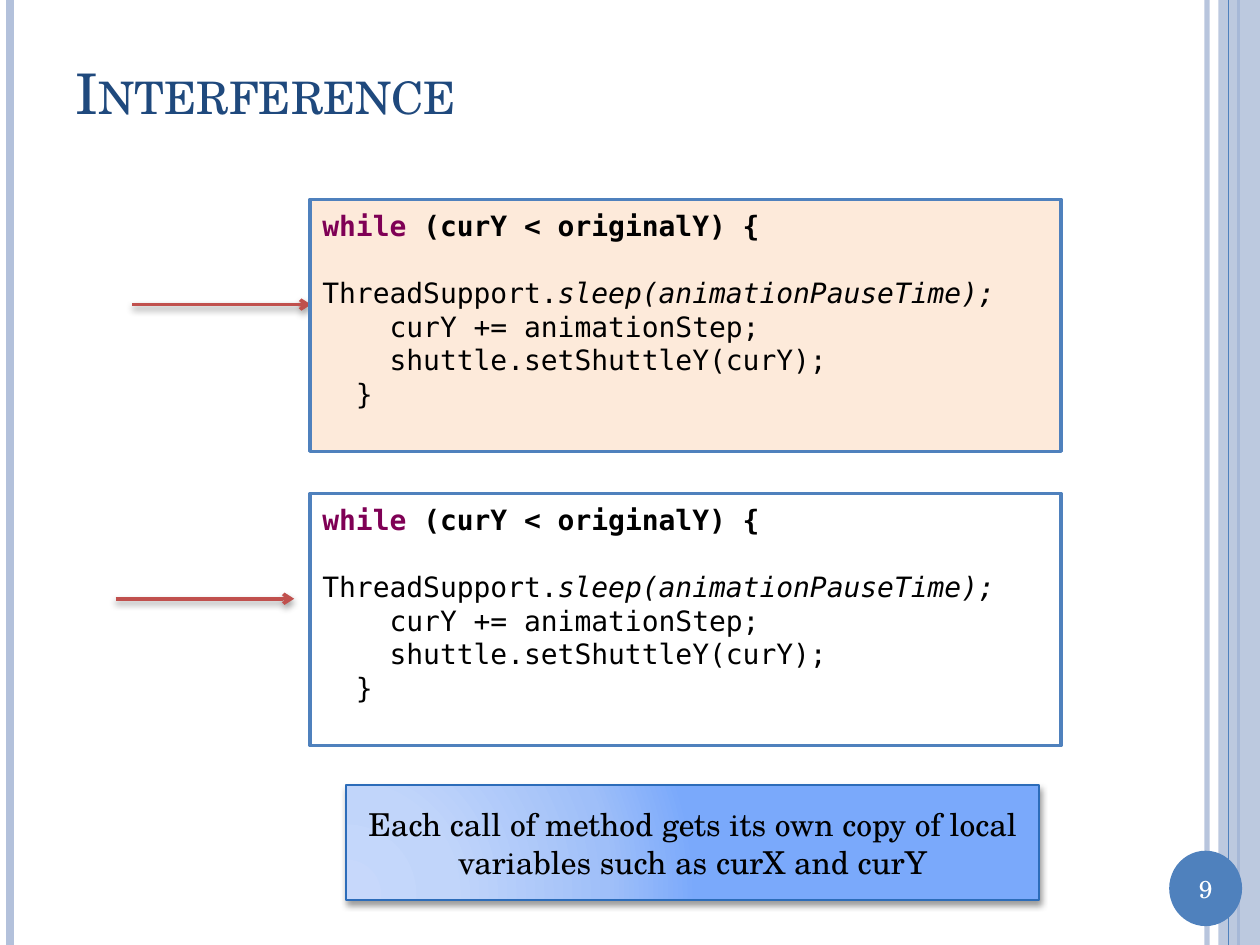
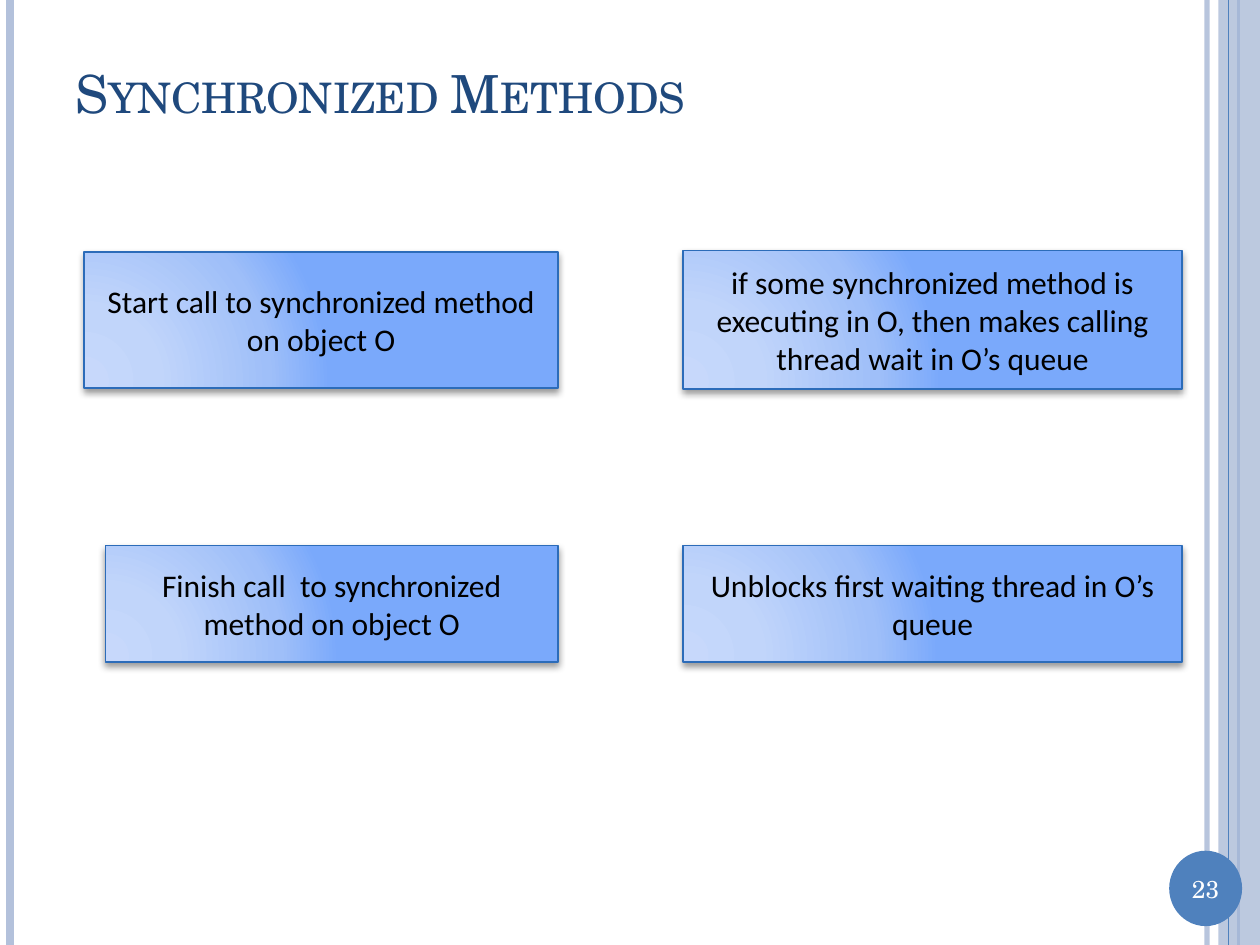
"""Build two slides on thread interference and synchronized methods."""
from dataclasses import dataclass

from lxml import etree
from pptx import Presentation
from pptx.dml.color import RGBColor
from pptx.enum.shapes import MSO_CONNECTOR, MSO_SHAPE
from pptx.enum.text import MSO_ANCHOR, PP_ALIGN
from pptx.oxml.ns import qn
from pptx.util import Cm, Pt

STRAIGHT = MSO_CONNECTOR.STRAIGHT
RECTANGLE = MSO_SHAPE.RECTANGLE
OVAL = MSO_SHAPE.OVAL
TOP = MSO_ANCHOR.TOP
MIDDLE = MSO_ANCHOR.MIDDLE
LEFT = PP_ALIGN.LEFT
CENTER = PP_ALIGN.CENTER

SLIDE_WIDTH = 25.4
SLIDE_HEIGHT = 19.05


@dataclass(frozen=True)
class Theme:
    """Colours, fonts and type sizes of the deck."""
    band: str = "B3C1DB"
    accent: str = "4F81BD"
    title: str = "1F497D"
    arrow: str = "C0504D"
    keyword: str = "7F0055"
    peach: str = "FDEADA"
    white: str = "FFFFFF"
    black: str = "000000"
    callout_line: str = "2C6CB9"
    callout_stops: tuple = ((0, "C7D8FB"), (30, "C1D5FA"), (75, "9FBFF9"), (100, "7AA9FB"))
    serif: str = "TeX Gyre Schola"
    sans: str = "Calibri"
    mono: str = "DejaVu Sans Mono"
    title_size: int = 32
    long_title_size: int = 30
    callout_size: int = 18
    code_size: int = 16
    number_size: int = 14


THEME = Theme()

CODE = (
    (("while ", "keyword"), ("(curY < originalY) {", "bold")),
    (("    ThreadSupport.", "plain"), ("sleep(animationPauseTime);", "italic")),
    (("    curY += animationStep;", "plain"),),
    (("    shuttle.setShuttleY(curY);", "plain"),),
    (("  }", "plain"),),
)

CALL_STEPS = (
    (1.7, 5.08, 9.55, 2.74, "Start call to synchronized method on object O"),
    (2.13, 11, 9.12, 2.34, "Finish call  to synchronized method on object O"),
    (13.77, 5.05, 10.06, 2.79,
     "if some synchronized method is executing in O, then makes calling thread wait in O’s queue"),
    (13.77, 11, 10.06, 2.34, "Unblocks first waiting thread in O’s queue"),
)


def add_element(parent, tag, **attributes):
    """Append a DrawingML element to a parent."""
    return etree.SubElement(parent, qn(tag), {key: str(value) for key, value in attributes.items()})


def set_opacity(fill_parent, percent):
    """Make the solid colour below an element partly transparent."""
    color = next(fill_parent.iter(qn("a:srgbClr")))
    add_element(color, "a:alpha", val=percent * 1000)


class SlideBuilder:
    """Holds the theme and the current slide, and draws each kind of element."""

    def __init__(self, presentation, theme):
        """Keep the presentation and its theme."""
        self.presentation = presentation
        self.theme = theme
        self.slide = None

    def start(self, title, title_size, number):
        """Add a blank slide with its frame, number and title."""
        self.slide = self.presentation.slides.add_slide(self.presentation.slide_layouts[6])
        self.frame(number)
        box = self.slide.shapes.add_textbox(Cm(1.27), Cm(0.76), Cm(22.02), Cm(2.21))
        self.text(box, title, title_size, self.theme.serif, self.theme.title, LEFT)
        properties = box.text_frame.paragraphs[0].runs[0].font._element
        properties.set("cap", "small")

    def frame(self, number):
        """Draw the vertical bands and the numbered disc."""
        theme = self.theme
        edge = self.band_line(24.33, theme.band, 3)
        set_opacity(edge.line._get_or_add_ln(), 93)
        self.band_line(0.21, theme.band, 4.5)
        self.band_line(24.97, theme.accent, 1.5)
        band = self.shape(RECTANGLE, 24.56, 0, 0.84, SLIDE_HEIGHT, theme.band)
        set_opacity(band._element.spPr, 87)
        self.band_line(24.77, theme.accent, 0.75)
        disc = self.shape(OVAL, 23.57, 17.15, 1.47, 1.52, theme.accent)
        self.text(disc, str(number), theme.number_size, theme.serif, theme.white, CENTER, 0)

    def band_line(self, x, color, width):
        """Draw a line over the full height of the slide."""
        return self.line(x, 0, x, SLIDE_HEIGHT, color, width)

    def line(self, x1, y1, x2, y2, color, width):
        """Draw a straight line without a shadow."""
        connector = self.slide.shapes.add_connector(STRAIGHT, Cm(x1), Cm(y1), Cm(x2), Cm(y2))
        connector.line.color.rgb = RGBColor.from_string(color)
        connector.line.width = Pt(width)
        add_element(connector._element.spPr, "a:effectLst")
        return connector

    def arrow(self, x, y, length):
        """Draw an arrow pointing right."""
        connector = self.line(x, y, x + length, y, self.theme.arrow, 2)
        add_element(connector.line._get_or_add_ln(), "a:tailEnd", type="arrow")
        self.shadow(connector)

    def shape(self, kind, left, top, width, height, fill=None, line=None, line_width=1):
        """Draw a preset shape with a flat fill and an optional outline."""
        shape = self.slide.shapes.add_shape(kind, Cm(left), Cm(top), Cm(width), Cm(height))
        shape.shadow.inherit = False
        if fill:
            shape.fill.solid()
            shape.fill.fore_color.rgb = RGBColor.from_string(fill)
        else:
            shape.fill.background()
        if line:
            shape.line.color.rgb = RGBColor.from_string(line)
            shape.line.width = Pt(line_width)
        else:
            shape.line.fill.background()
        return shape

    def shadow(self, shape):
        """Give a shape a soft shadow below it."""
        effects = shape._element.spPr.find(qn("a:effectLst"))
        outer = add_element(effects, "a:outerShdw", blurRad=Pt(4), dist=Pt(2),
                            dir=5400000, rotWithShape=0)
        color = add_element(outer, "a:srgbClr", val=self.theme.black)
        add_element(color, "a:alpha", val=40000)

    def gradient(self, shape):
        """Replace an empty fill by the radial callout gradient."""
        properties = shape._element.spPr
        gradient = etree.Element(qn("a:gradFill"), rotWithShape="1")
        stops = add_element(gradient, "a:gsLst")
        for position, color in self.theme.callout_stops:
            stop = add_element(stops, "a:gs", pos=position * 1000)
            add_element(stop, "a:srgbClr", val=color)
        circle = add_element(gradient, "a:path", path="circle")
        add_element(circle, "a:fillToRect", l=5000, t=100000, r=120000, b=10000)
        properties.replace(properties.find(qn("a:noFill")), gradient)

    def text(self, shape, content, size, font_name, color, alignment, margin=None):
        """Set one centred-in-height paragraph in a shape."""
        text_frame = shape.text_frame
        text_frame.word_wrap = True
        text_frame.vertical_anchor = MIDDLE
        if margin is not None:
            text_frame.margin_left = text_frame.margin_right = Cm(margin)
            text_frame.margin_top = text_frame.margin_bottom = Cm(margin)
        text_frame.text = content
        paragraph = text_frame.paragraphs[0]
        paragraph.alignment = alignment
        self.style(paragraph.runs[0].font, size, font_name, color)

    def style(self, font, size, font_name, color):
        """Set the size, typeface and colour of a font."""
        font.size = Pt(size)
        font.name = font_name
        font.color.rgb = RGBColor.from_string(color)

    def callout(self, left, top, width, height, content, font_name):
        """Draw a shaded box with a statement."""
        shape = self.shape(RECTANGLE, left, top, width, height, line=self.theme.callout_line)
        self.gradient(shape)
        self.shadow(shape)
        self.text(shape, content, self.theme.callout_size, font_name,
                  self.theme.black, CENTER, 0.13)

    def code_box(self, top, fill):
        """Draw an outlined box with the loop."""
        theme = self.theme
        shape = self.shape(RECTANGLE, 6.25, top, 15.14, 5.08, fill, theme.accent, 2)
        text_frame = shape.text_frame
        text_frame.word_wrap = True
        text_frame.vertical_anchor = TOP
        text_frame.margin_top = Cm(0.18)
        for index, parts in enumerate(CODE):
            paragraph = text_frame.add_paragraph() if index else text_frame.paragraphs[0]
            paragraph.alignment = LEFT
            for content, role in parts:
                run = paragraph.add_run()
                run.text = content
                color = theme.keyword if role == "keyword" else theme.black
                self.style(run.font, theme.code_size, theme.mono, color)
                run.font.bold = role in ("keyword", "bold")
                run.font.italic = role == "italic"


def build_interference(builder):
    """Draw two threads at the same loop."""
    theme = builder.theme
    builder.start("Interference", theme.title_size, 9)
    builder.arrow(2.67, 6.14, 3.6)
    builder.arrow(2.33, 12.07, 3.6)
    builder.code_box(9.95, theme.white)
    builder.code_box(4.02, theme.peach)
    builder.callout(6.98, 15.83, 13.97, 2.32,
                    "Each call of method gets its own copy of local variables such as curX and curY",
                    theme.serif)


def build_synchronized_methods(builder):
    """Draw the steps around a synchronized call."""
    builder.start("Synchronized Methods", builder.theme.long_title_size, 23)
    for left, top, width, height, content in CALL_STEPS:
        builder.callout(left, top, width, height, content, builder.theme.sans)


def main():
    """Build and save the presentation."""
    presentation = Presentation()
    presentation.slide_width = Cm(SLIDE_WIDTH)
    presentation.slide_height = Cm(SLIDE_HEIGHT)
    builder = SlideBuilder(presentation, THEME)
    build_interference(builder)
    build_synchronized_methods(builder)
    presentation.save("out.pptx")


if __name__ == "__main__":
    main()
